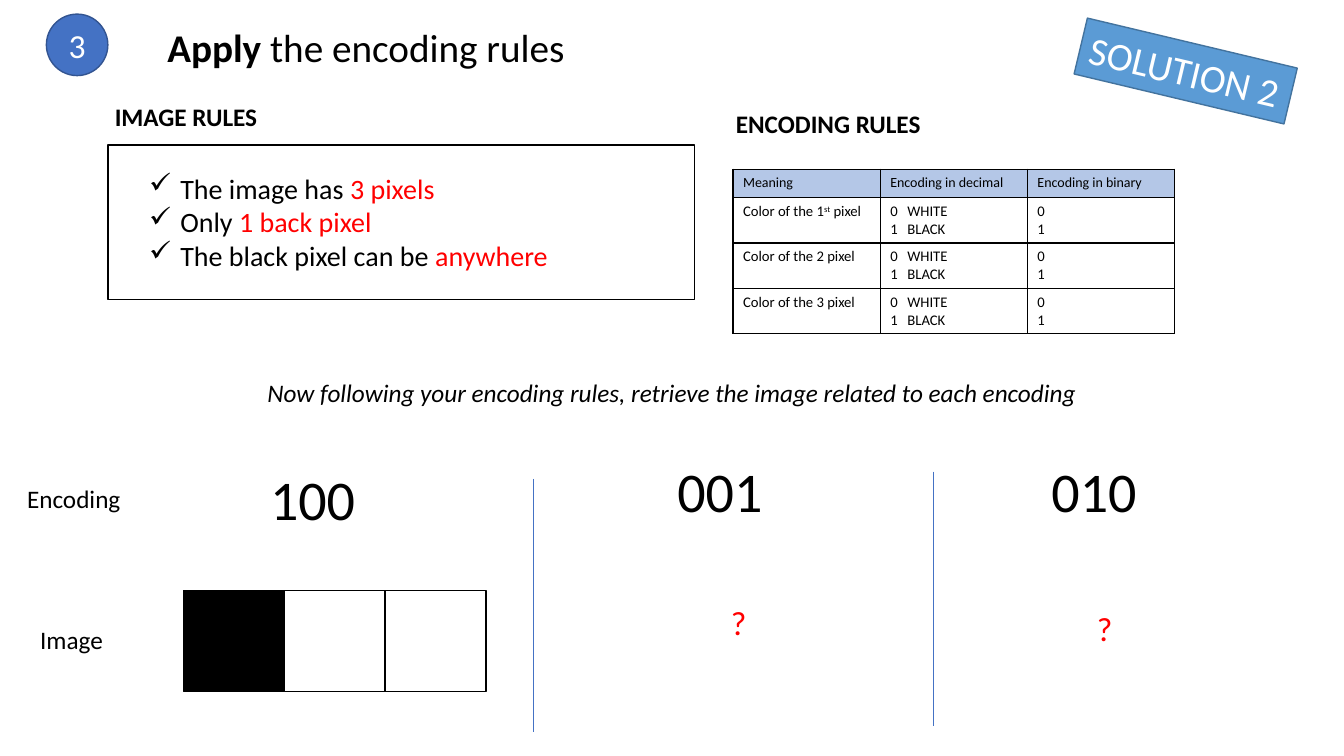
import pptx
import pptx.util
import pptx.dml.color
import pptx.enum.shapes
import pptx.enum.text
import pptx.oxml.ns
import lxml.etree

Inches, Pt = pptx.util.Inches, pptx.util.Pt
SHAPE = pptx.enum.shapes.MSO_SHAPE
CENTER = pptx.enum.text.PP_ALIGN.CENTER
BLACK, WHITE, RED, BLUE = "000000", "FFFFFF", "FF0000", "4472C4"


def rgb(value):
    return pptx.dml.color.RGBColor.from_string(value)


def sub(parent, tag, **attrs):
    return lxml.etree.SubElement(parent, pptx.oxml.ns.qn(tag), attrs)


def format_run(r, size, color=BLACK, bold=False, italic=False):
    r.font.name = "Calibri"
    r.font.size = Pt(size)
    r.font.bold = bold
    r.font.italic = italic
    r.font.color.rgb = rgb(color)


def add_run(p, text, size, **style):
    r = p.add_run()
    r.text = text
    format_run(r, size, **style)
    return r


def add_text(slide, box, text, size, wrap=False, align=None, **style):
    sp = slide.shapes.add_textbox(*map(Inches, box))
    tf = sp.text_frame
    tf.word_wrap = wrap
    tf.auto_size = pptx.enum.text.MSO_AUTO_SIZE.SHAPE_TO_FIT_TEXT
    p = tf.paragraphs[0]
    p.alignment = align
    if text:
        add_run(p, text, size, **style)
    return sp


def add_box(slide, kind, box, fill, line, text="", size=24, align=CENTER):
    sp = slide.shapes.add_shape(kind, *map(Inches, box))
    sp.shadow.inherit = False
    if fill:
        sp.fill.solid()
        sp.fill.fore_color.rgb = rgb(fill)
    else:
        sp.fill.background()
    sp.line.color.rgb = rgb(line)
    sp.line.width = Pt(1)
    if text:
        p = sp.text_frame.paragraphs[0]
        p.alignment = align
        add_run(p, text, size, color=WHITE)
    return sp


def add_divider(slide, x, top, bottom):
    line = slide.shapes.add_connector(
        pptx.enum.shapes.MSO_CONNECTOR.STRAIGHT,
        Inches(x), Inches(top), Inches(x), Inches(bottom))
    line.line.color.rgb = rgb(BLUE)
    line.line.width = Pt(0.5)
    sub(line._element.spPr, "a:effectLst")


def add_checklist(slide, box, items, size):
    tf = add_text(slide, box, "", size).text_frame
    for i, (label, highlight) in enumerate(items):
        p = tf.add_paragraph() if i else tf.paragraphs[0]
        pPr = p._p.get_or_add_pPr()
        pPr.set("marL", str(Inches(0.31)))
        pPr.set("indent", str(-Inches(0.31)))
        sub(pPr, "a:buChar", char="✓")
        add_run(p, label, size)
        add_run(p, highlight, size, color=RED)


def fill_cell(cell, lines, size, fill=None):
    cell.text_frame.text = "\n".join(lines)
    for p in cell.text_frame.paragraphs:
        if "\t" in p.text:
            tabs = sub(p._p.get_or_add_pPr(), "a:tabLst")
            sub(tabs, "a:tab", pos=str(Inches(0.17)), algn="l")
        for r in p.runs:
            format_run(r, size)
    tcPr = cell._tc.get_or_add_tcPr()
    for side in ("a:lnL", "a:lnR", "a:lnT", "a:lnB"):
        ln = sub(tcPr, side, w=str(Pt(1)))
        sub(sub(ln, "a:solidFill"), "a:srgbClr", val=BLACK)
    if fill:
        cell.fill.solid()
        cell.fill.fore_color.rgb = rgb(fill)
    else:
        cell.fill.background()


def add_encoding_table(slide):
    heights = [0.28, 0.45, 0.45, 0.45]
    table = slide.shapes.add_table(
        4, 3, Inches(7.27), Inches(1.68), Inches(4.38), Inches(sum(heights))).table
    for column in table.columns:
        column.width = Inches(1.46)
    for row, height in zip(table.rows, heights):
        row.height = Inches(height)
    for c, title in enumerate(["Meaning", "Encoding in decimal", "Encoding in binary"]):
        fill_cell(table.cell(0, c), [title], 10, "B4C7E7")
    for n in (1, 2, 3):
        fill_cell(table.cell(n, 0), [f"Color of the {n} pixel" if n > 1 else "Color of the 1"], 10.5)
        fill_cell(table.cell(n, 1), ["0\tWHITE", "1\tBLACK"], 10.5)
        fill_cell(table.cell(n, 2), ["0", "1"], 10.5)
    # Ordinal of the first pixel
    p = table.cell(1, 0).text_frame.paragraphs[0]
    ordinal = add_run(p, "st", 10.5)
    ordinal._r.get_or_add_rPr().set("baseline", "30000")
    add_run(p, " pixel", 10.5)


def main():
    prs = pptx.Presentation()
    prs.slide_width, prs.slide_height = Inches(13.33), Inches(7.5)
    slide = prs.slides.add_slide(prs.slide_layouts[6])

    # Title row
    title = add_text(slide, (1.38, 0.18, 4.5, 0.57), "Apply", 28,
                     wrap=True, align=CENTER, bold=True)
    add_run(title.text_frame.paragraphs[0], " the encoding rules", 28)
    number = add_box(slide, SHAPE.OVAL, (0.46, 0.14, 0.61, 0.61), BLUE, "325491", "3")
    number.text_frame.vertical_anchor = pptx.enum.text.MSO_ANCHOR.MIDDLE
    tag = add_box(slide, SHAPE.RECTANGLE, (10.69, 0.42, 2.14, 0.57), "5B9BD5", "43739E",
                  "SOLUTION 2", 28, pptx.enum.text.PP_ALIGN.LEFT)
    tag.text_frame.word_wrap = False
    tag.text_frame.vertical_anchor = pptx.enum.text.MSO_ANCHOR.TOP
    tag.rotation = 13.4

    # Image rules
    add_text(slide, (1.04, 0.96, 1.63, 0.4), "IMAGE RULES", 18, bold=True)
    add_box(slide, SHAPE.RECTANGLE, (1.07, 1.44, 5.82, 1.53), None, BLACK)
    add_checklist(slide, (1.38, 1.65, 4.2, 1.11), [
        ("The image has ", "3 pixels"),
        ("Only ", "1 back pixel"),
        ("The black pixel can be ", "anywhere"),
    ], 20)

    # Encoding rules
    add_text(slide, (7.2, 1.03, 2.06, 0.4), "ENCODING RULES", 18, bold=True)
    add_encoding_table(slide)

    # Exercise
    add_text(slide, (1.98, 3.69, 9.37, 0.4),
             "Now following your encoding rules, retrieve the image related to each encoding",
             18, wrap=True, align=CENTER, italic=True)
    add_text(slide, (0.17, 4.75, 1.14, 0.4), "Encoding", 18)
    add_text(slide, (0.3, 6.14, 0.83, 0.4), "Image", 18)
    for code, x, y in [("100", 2.58, 4.56), ("001", 6.62, 4.48), ("010", 10.33, 4.48)]:
        add_text(slide, (x, y, 1.05, 0.77), code, 40)
    for i, pixel in enumerate([BLACK, WHITE, WHITE]):
        add_box(slide, SHAPE.RECTANGLE, (1.82 + i, 5.86, 1, 1), pixel, BLACK)
    for x, y in [(7.15, 5.92), (10.78, 5.98)]:
        add_text(slide, (x, y, 0.36, 0.5), "?", 24, color=RED)
    add_divider(slide, 5.29, 4.75, 7.26)
    add_divider(slide, 9.26, 4.68, 7.2)

    prs.save("out.pptx")


if __name__ == "__main__":
    main()
